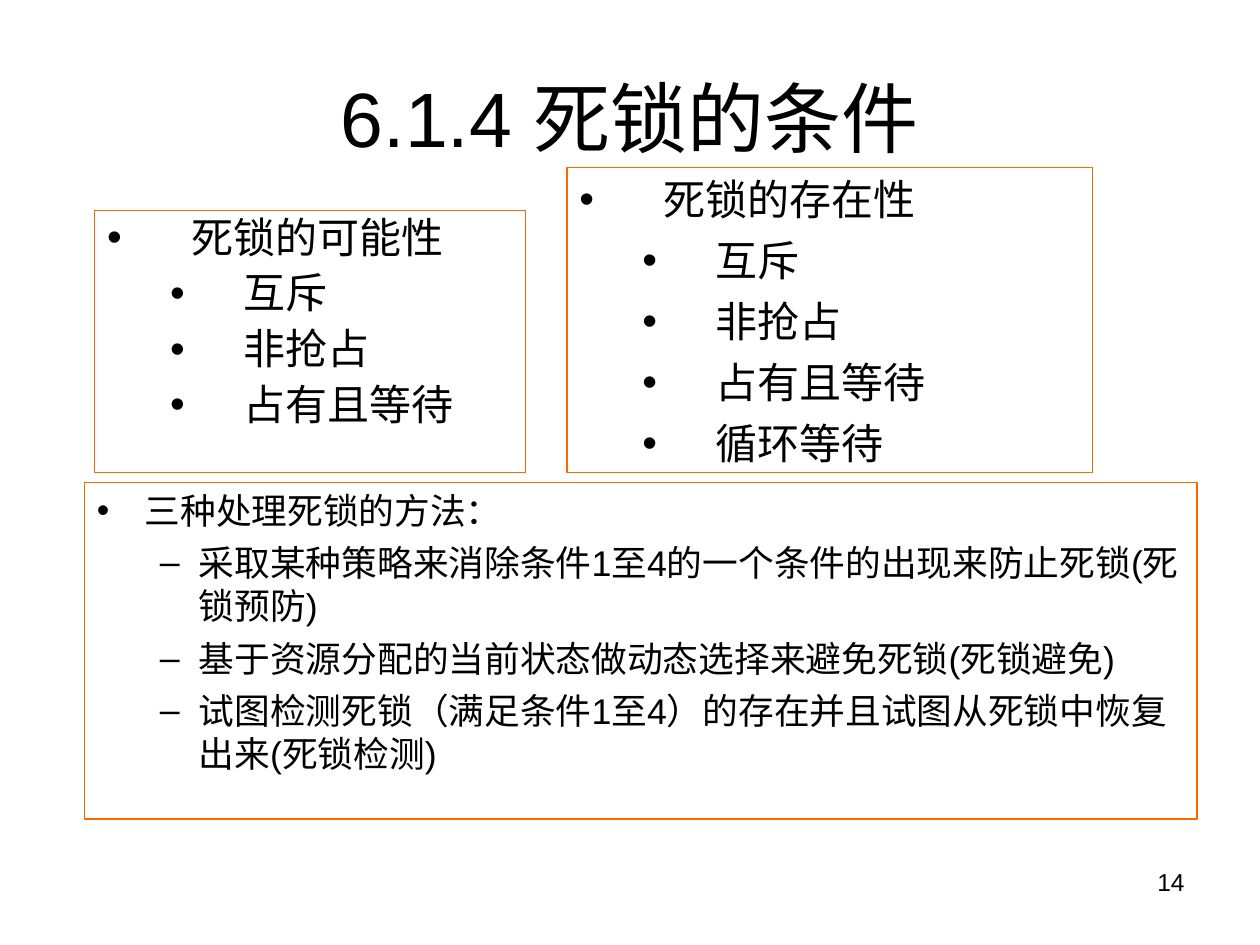
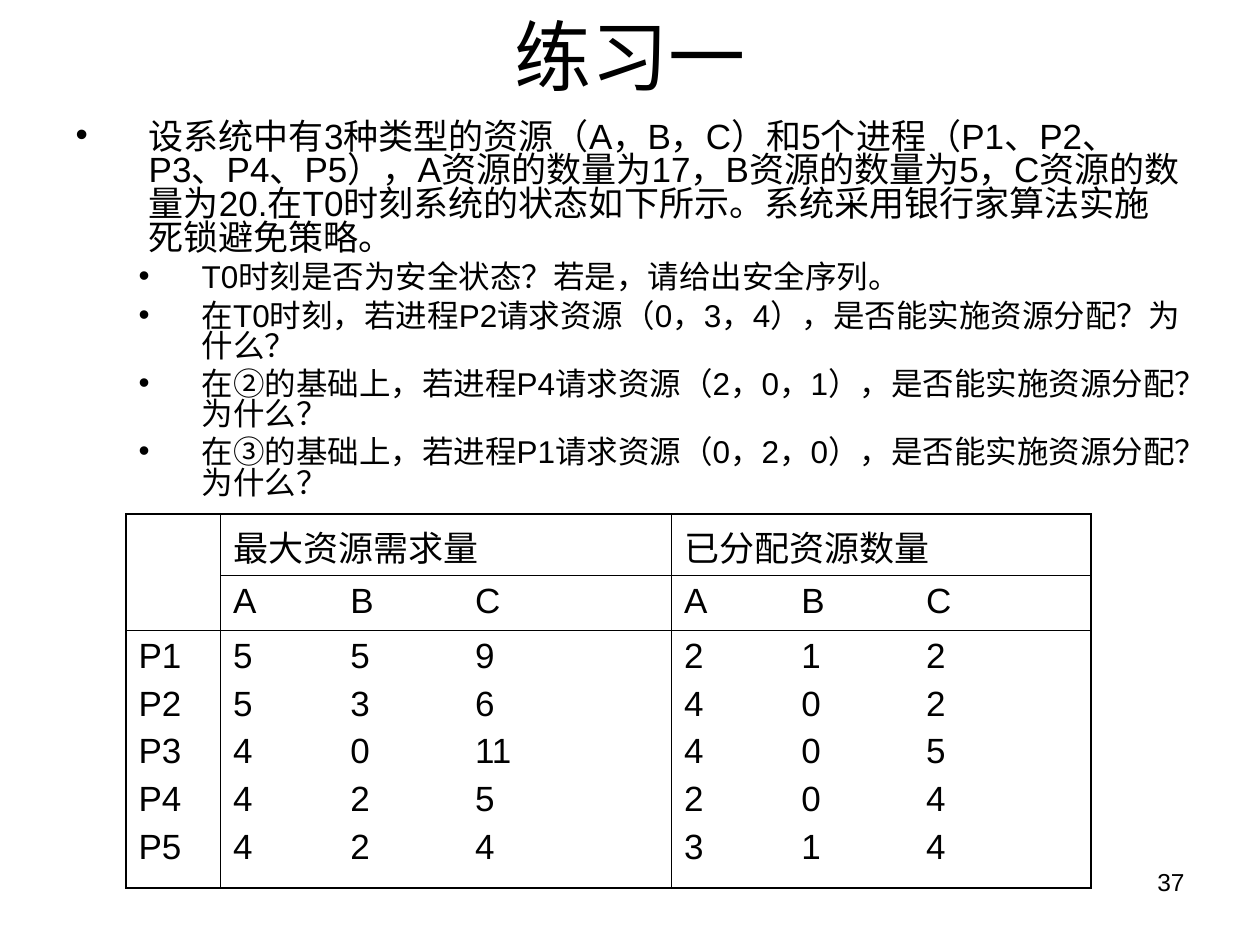
from lxml.etree import SubElement
from pptx import Presentation
from pptx.dml.color import RGBColor
from pptx.enum.shapes import MSO_SHAPE
from pptx.enum.text import MSO_ANCHOR, MSO_AUTO_SIZE, PP_ALIGN
from pptx.oxml import parse_xml
from pptx.oxml.ns import nsdecls, qn
from pptx.util import Inches, Pt

BLACK = RGBColor(0, 0, 0)
ORANGE = RGBColor(0xFF, 0x66, 0x00)
FONT = "Arial"
THICK, THIN = 1.08, 0.45
TABS = (0.93, 1.92)

SHARED = ["互斥", "非抢占", "占有且等待"]
MAY = ["死锁的可能性"] + SHARED
MUST = ["死锁的存在性"] + SHARED + ["循环等待"]
WAYS = [
    "三种处理死锁的方法：",
    "采取某种策略来消除条件1至4的一个条件的出现来防止死锁(死锁预防)",
    "基于资源分配的当前状态做动态选择来避免死锁(死锁避免)",
    "试图检测死锁（满足条件1至4）的存在并且试图从死锁中恢复出来(死锁检测)",
]
TASK = [
    "设系统中有3种类型的资源（A，B，C）和5个进程（P1、P2、P3、P4、P5），"
    "A资源的数量为17，B资源的数量为5，C资源的数量为20."
    "在T0时刻系统的状态如下所示。系统采用银行家算法实施死锁避免策略。",
    "T0时刻是否为安全状态？若是，请给出安全序列。",
    "在T0时刻，若进程P2请求资源（0，3，4），是否能实施资源分配？为什么？",
    "在②的基础上，若进程P4请求资源（2，0，1），是否能实施资源分配？为什么？",
    "在③的基础上，若进程P1请求资源（0，2，0），是否能实施资源分配？为什么？",
]
NEED = [(5, 5, 9), (5, 3, 6), (4, 0, 11), (4, 2, 5), (4, 2, 4)]
HELD = [(2, 1, 2), (4, 0, 2), (4, 0, 5), (2, 0, 4), (3, 1, 4)]


def place(shape, box):
    shape.left, shape.top, shape.width, shape.height = map(Inches, box)


def style(para, size):
    for run in para.runs:
        run.font.size = Pt(size)
        run.font.name = FONT
        run.font.color.rgb = BLACK


def bullet(para, mark, left, hang):
    props = para._p.get_or_add_pPr()
    props.set("marL", str(Inches(left)))
    props.set("indent", str(-Inches(hang)))
    color = SubElement(props, qn("a:buClr"))
    SubElement(color, qn("a:srgbClr"), val=str(BLACK))
    SubElement(props, qn("a:buFont"), typeface=FONT)
    SubElement(props, qn("a:buChar"), char=mark)


def add_list(shape, lines, dents, sizes, gaps, space=1.0, mark="•"):
    frame = shape.text_frame
    frame.word_wrap = True
    frame.auto_size = MSO_AUTO_SIZE.NONE
    frame.vertical_anchor = MSO_ANCHOR.TOP
    frame.text = "\n".join(lines)
    for row, para in enumerate(frame.paragraphs):
        level = min(row, 1)
        para.level = level
        para.alignment = PP_ALIGN.LEFT
        para.line_spacing = space
        para.space_before = Pt(gaps[level])
        bullet(para, mark if level else "•", *dents[level])
        style(para, sizes[level])


def outline(shape):
    shape.line.color.rgb = ORANGE
    shape.line.width = Pt(0.75)


def add_panel(slide, box):
    panel = slide.shapes.add_shape(MSO_SHAPE.RECTANGLE, *map(Inches, box))
    panel.shadow.inherit = False
    panel.fill.background()
    outline(panel)
    return panel


def add_slide(deck, title, box, number):
    slide = deck.slides.add_slide(deck.slide_layouts[1])
    head = slide.shapes.title
    place(head, box)
    frame = head.text_frame
    frame.text = title
    frame.auto_size = MSO_AUTO_SIZE.NONE
    frame.vertical_anchor = MSO_ANCHOR.MIDDLE
    frame.paragraphs[0].alignment = PP_ALIGN.CENTER
    style(frame.paragraphs[0], 44)
    foot = slide.shapes.add_textbox(*map(Inches, (7.17, 6.83, 2.33, 0.52)))
    foot.text_frame.word_wrap = True
    para = foot.text_frame.paragraphs[0]
    para.text = str(number)
    para.alignment = PP_ALIGN.RIGHT
    style(para, 14)
    return slide


def edge(cell, widths):
    props = cell._tc.get_or_add_tcPr()
    for spot, (side, width) in enumerate(zip("LRTB", widths)):
        props.insert(spot, parse_xml(
            f'<a:ln{side} {nsdecls("a")} w="{Pt(width)}"><a:solidFill>'
            f'<a:srgbClr val="{BLACK}"/></a:solidFill></a:ln{side}>'))


def fill_cell(cell, lines):
    cell.text_frame.text = "\n".join(lines)
    for para in cell.text_frame.paragraphs:
        para.space_before = Pt(5)
        stops = SubElement(para._p.get_or_add_pPr(), qn("a:tabLst"))
        for stop in TABS:
            SubElement(stops, qn("a:tab"), pos=str(Inches(stop)), algn="l")
        style(para, 20)


def join(rows):
    return ["\t".join(map(str, row)) for row in rows]


def add_state(slide, box):
    grid = slide.shapes.add_table(3, 3, *map(Inches, box)).table
    grid.first_row = grid.horz_banding = False
    for col, width in zip(grid.columns, (0.75, 3.58, 3.33)):
        col.width = Inches(width)
    for row, height in zip(grid.rows, (0.49, 0.43, 2.04)):
        row.height = Inches(height)
    grid.cell(0, 0).merge(grid.cell(1, 0))
    names = [f"P{num}" for num in range(1, 6)]
    parts = [
        [[], ["最大资源需求量"], ["已分配资源数量"]],
        [[], join(["ABC"]), join(["ABC"])],
        [names, join(NEED), join(HELD)],
    ]
    for row, line in enumerate(parts):
        for col, text in enumerate(line):
            cell = grid.cell(row, col)
            cell.fill.background()
            outer = (col == 0, col == 2, row == 0, row == 2)
            edge(cell, [THICK if out else THIN for out in outer])
            if text:
                fill_cell(cell, text)


def build_rules(deck):
    slide = add_slide(deck, "6.1.4 死锁的条件", (0.5, 0.3, 9, 1.25), 14)
    dents = ((0.67, 0.67), (1.08, 0.58))
    body = slide.placeholders[1]
    place(body, (0.75, 1.67, 3.42, 2.08))
    outline(body)
    add_list(body, MAY, dents, (24, 24), (6, 6), 0.9)
    must = add_panel(slide, (4.5, 1.33, 4.17, 2.42))
    add_list(must, MUST, dents, (24, 24), (6, 6))
    ways = add_panel(slide, (0.67, 3.83, 8.83, 2.67))
    add_list(ways, WAYS, ((0.38, 0.38), (0.81, 0.31)),
             (20.4, 20.4), (5.5, 5.5), mark="–")


def build_task(deck):
    slide = add_slide(deck, "练习一", (0.5, 0, 9, 0.87), 37)
    body = slide.placeholders[1]
    place(body, (0.5, 0.92, 9, 3.33))
    add_list(body, TASK, ((0.58, 0.58), (1, 0.5)), (20, 18), (5, 4.5), 0.8)
    add_state(slide, (1, 4.08, 7.67, 2.97))


def main():
    deck = Presentation()
    deck.slide_width, deck.slide_height = Inches(10), Inches(7.5)
    build_rules(deck)
    build_task(deck)
    deck.save("out.pptx")


if __name__ == "__main__":
    main()
